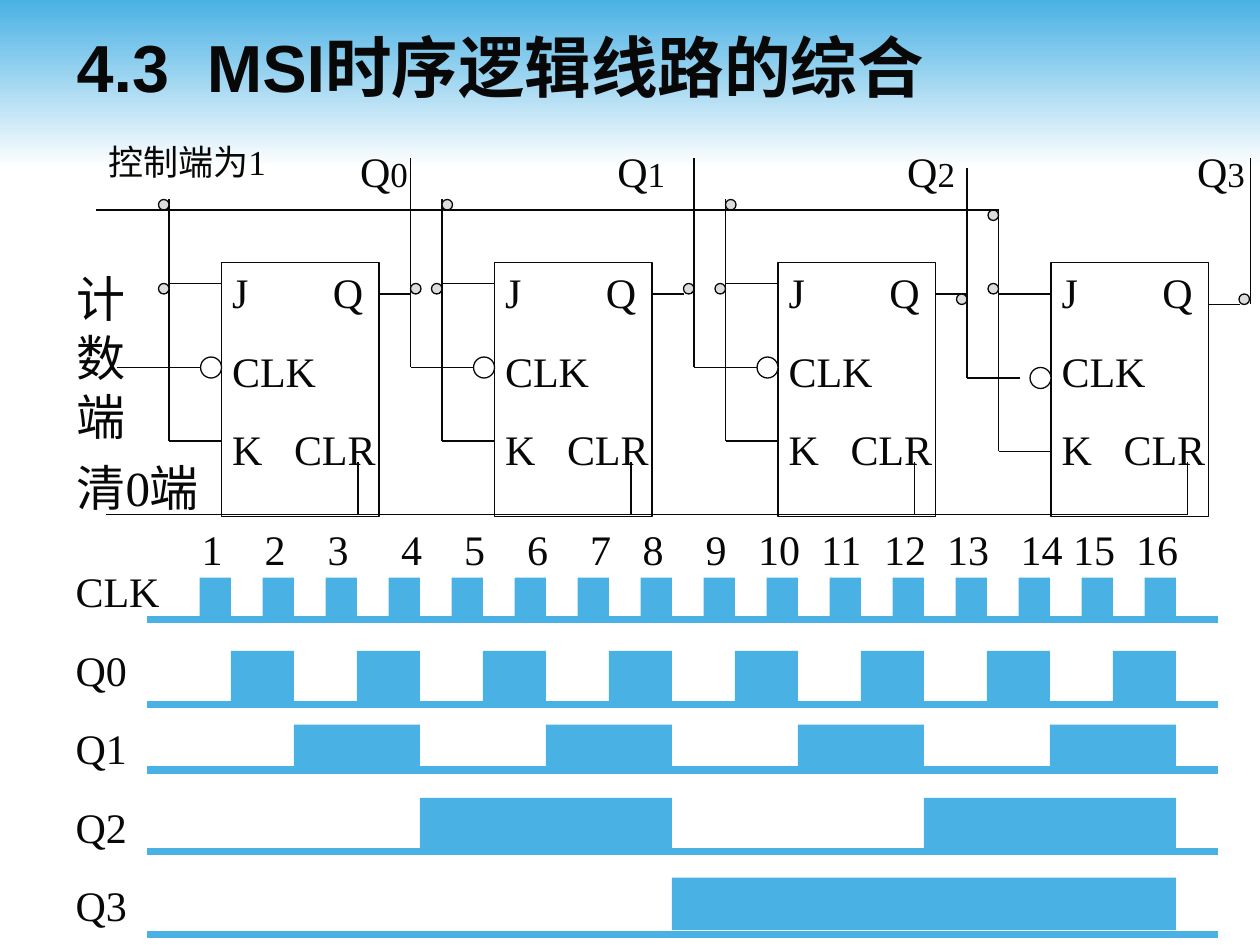
import pptx
import pptx.util
import pptx.dml.color
import pptx.enum.shapes
import pptx.enum.text
import pptx.oxml.ns
from lxml import etree

COLORS = {"ink": "080808", "blue": "4AB1E4", "white": "FFFFFF", "dot": "DDDDDD"}
SERIF = "Times New Roman"
GRID = 25.4 / 120
SHAPE = pptx.enum.shapes.MSO_SHAPE


def units(n):
    return pptx.util.Cm(n * GRID)


def color(name):
    return pptx.dml.color.RGBColor.from_string(COLORS[name])


def add_run(p, text, size, font=SERIF, bold=False):
    r = p.add_run()
    r.text = text
    r.font.size = pptx.util.Pt(size)
    r.font.name = font
    r.font.bold = bold
    r.font.color.rgb = color("ink")


def set_tabs(p, stops):
    pPr = p._p.get_or_add_pPr()
    tab_list = etree.SubElement(pPr, pptx.oxml.ns.qn("a:tabLst"))
    for stop in stops:
        etree.SubElement(tab_list, pptx.oxml.ns.qn("a:tab"), pos=str(int(units(stop))), algn="l")


def fill_text(tf, paragraphs, insets, space=0):
    tf.word_wrap = True
    tf.vertical_anchor = pptx.enum.text.MSO_ANCHOR.TOP
    tf.margin_left, tf.margin_top, tf.margin_right, tf.margin_bottom = map(units, insets)
    for i, (runs, stops) in enumerate(paragraphs):
        p = tf.add_paragraph() if i else tf.paragraphs[0]
        p.alignment = pptx.enum.text.PP_ALIGN.LEFT
        p.space_before = pptx.util.Pt(space if i else 0)
        if stops:
            set_tabs(p, stops)
        for text, size in runs:
            add_run(p, text, size)


def add_label(s, box, paragraphs, top_inset=0.6, space=0):
    sp = s.shapes.add_textbox(*map(units, box))
    fill_text(sp.text_frame, paragraphs, (1.2, top_inset, 1.2, 0.6), space)


def add_box(s, kind, box, fill=None, line=None):
    sp = s.shapes.add_shape(kind, *map(units, box))
    sp.shadow.inherit = False
    if fill:
        sp.fill.solid()
        sp.fill.fore_color.rgb = color(fill)
    else:
        sp.fill.background()
    if line:
        sp.line.color.rgb = color(line)
        sp.line.width = pptx.util.Pt(0.75)
    else:
        sp.line.fill.background()
    return sp


def add_wire(s, x1, y1, x2, y2, line="ink", width=0.75):
    wire = s.shapes.add_connector(
        pptx.enum.shapes.MSO_CONNECTOR.STRAIGHT, *map(units, (x1, y1, x2, y2)))
    wire.line.color.rgb = color(line)
    wire.line.width = pptx.util.Pt(width)
    etree.SubElement(wire._element.spPr, pptx.oxml.ns.qn("a:effectLst"))


def add_header(s, box):
    band = add_box(s, SHAPE.RECTANGLE, box)
    band.fill.gradient()
    band.fill.gradient_angle = 270
    for stop, position, name in zip(band.fill.gradient_stops, (0, 1), ("blue", "white")):
        stop.position = position
        stop.color.rgb = color(name)
    s.shapes._spTree.insert(2, band._element)

    left, top = box[:2]
    title = s.shapes.title
    title.left, title.top, title.width, title.height = map(
        units, (left + 6.1, top + 0.6, 108, 11.4))
    tf = title.text_frame
    tf.auto_size = pptx.enum.text.MSO_AUTO_SIZE.NONE
    tf.vertical_anchor = pptx.enum.text.MSO_ANCHOR.MIDDLE
    p = tf.paragraphs[0]
    p.alignment = pptx.enum.text.PP_ALIGN.LEFT
    set_tabs(p, [12.4])
    add_run(p, "4.3\tMSI时序逻辑线路的综合", 38, "Arial", True)


def add_flip_flop(s, x, y, drop, clock_length, rail_dot, out_dot):
    body = add_box(s, SHAPE.RECTANGLE, (x, y, 15, 24.2), line="ink")
    pins = [([("J\tQ", 24)], [9.6]), ([("CLK", 24)], []), ([("K\tCLR", 24)], [5.9])]
    fill_text(body.text_frame, pins, (1, 0.4, 0, 0), 16)

    rail, j, clock, k = x - 5, y + 2 + drop, y + 10 + drop, y + 17 + drop
    rail_top, out = y - 6 + drop, y + 3 + drop
    add_wire(s, x, j, rail, j)
    add_wire(s, x, k, rail, k)
    add_wire(s, rail, k, rail, rail_top)
    add_wire(s, x - 2 - drop, clock, x - clock_length, clock)
    add_wire(s, x + 15, out, x + 18, out)
    add_wire(s, x + 13, y + 19, x + 13, y + 24)
    add_box(s, SHAPE.OVAL, (x - 2, clock - 1, 2, 2), "white", "ink")
    for dot_x, dot_y in ((x - 6, y + 2), (x + rail_dot, rail_top),
                         (x + out_dot[0], y + out_dot[1])):
        add_box(s, SHAPE.OVAL, (dot_x, dot_y, 1, 1), "dot", "ink")


def add_counter(s, left, top):
    stages = [
        (21, 0, 10, -6, (18, 2)),
        (47, 0, 8, -5, (18, 2)),
        (74, 0, 8, -5, (18, 2)),
        (100, 1, 8, -6, (17.9, 3)),
    ]
    stages[2] = stages[2][:4] + ((17, 3),)
    for x, *pins in stages:
        add_flip_flop(s, left + x, top + 12, *pins)
    for x, start, end in ((39, 22, 2), (66, 22, 2), (92, 23, 3), (119, 16, 2)):
        add_wire(s, left + x, top + start, left + x, top + end)
    add_wire(s, left + 95, top + 7, left + 9, top + 7)
    add_wire(s, left + 113, top + 36, left + 10, top + 36)

    outputs = [run for n in range(4) for run in (("\tQ" if n else "Q", 24), (str(n), 20))]
    add_label(s, (left + 33, top, 87, 6), [(outputs, [24.5, 52.1, 79.7])], 0.9)
    add_label(s, (left + 9, top - 0.2, 21, 5.3), [([("控制端为1", 20)], [])])
    add_label(s, (left + 6, top + 12, 10, 18), [([("计数端", 28)], [])])
    add_label(s, (left + 6, top + 30, 17, 6.8), [([("清0端", 28)], [])])


def add_wave(s, left, base, top, height, pulse):
    add_wire(s, left, base, left + 102, base, "blue", 4.5)
    for n in range(48 // pulse):
        x = left + 2 + pulse * (2 * n + 1)
        add_box(s, SHAPE.RECTANGLE, (x, top, pulse, height), "blue")


def add_timing(s, left, top):
    shifted = {4, 5, 6, 7, 14}
    stops = [6 * (n - 1) + (n in shifted) - (n > 9) for n in range(2, 17)]
    numbers = "\t".join(str(n) for n in range(1, 17))
    add_label(s, (left + 12, top, 98, 6), [([(numbers, 24)], stops)], 0.9)
    names = ["CLK", "Q0", "Q1", "Q2", "Q3"]
    add_label(s, (left, top + 4, 33, 35.3),
              [([(name, 24)], []) for name in names], 0.9, 16)
    waves = [(10, 6, 4, 3), (18.1, 13, 5, 6), (24.3, 20, 4, 12),
             (32.1, 27, 5, 24), (40, 34.6, 5, 48)]
    for base, pulse_top, height, pulse in waves:
        add_wave(s, left + 8, top + base, top + pulse_top, height, pulse)


def main():
    prs = pptx.Presentation()
    prs.slide_width, prs.slide_height = pptx.util.Cm(25.4), pptx.util.Cm(19.05)
    s = prs.slides.add_slide(prs.slide_layouts[5])
    add_header(s, (0, 0, 120, 16))
    add_counter(s, 0.1, 13)
    add_timing(s, 6, 49)
    prs.save("out.pptx")


if __name__ == "__main__":
    main()
